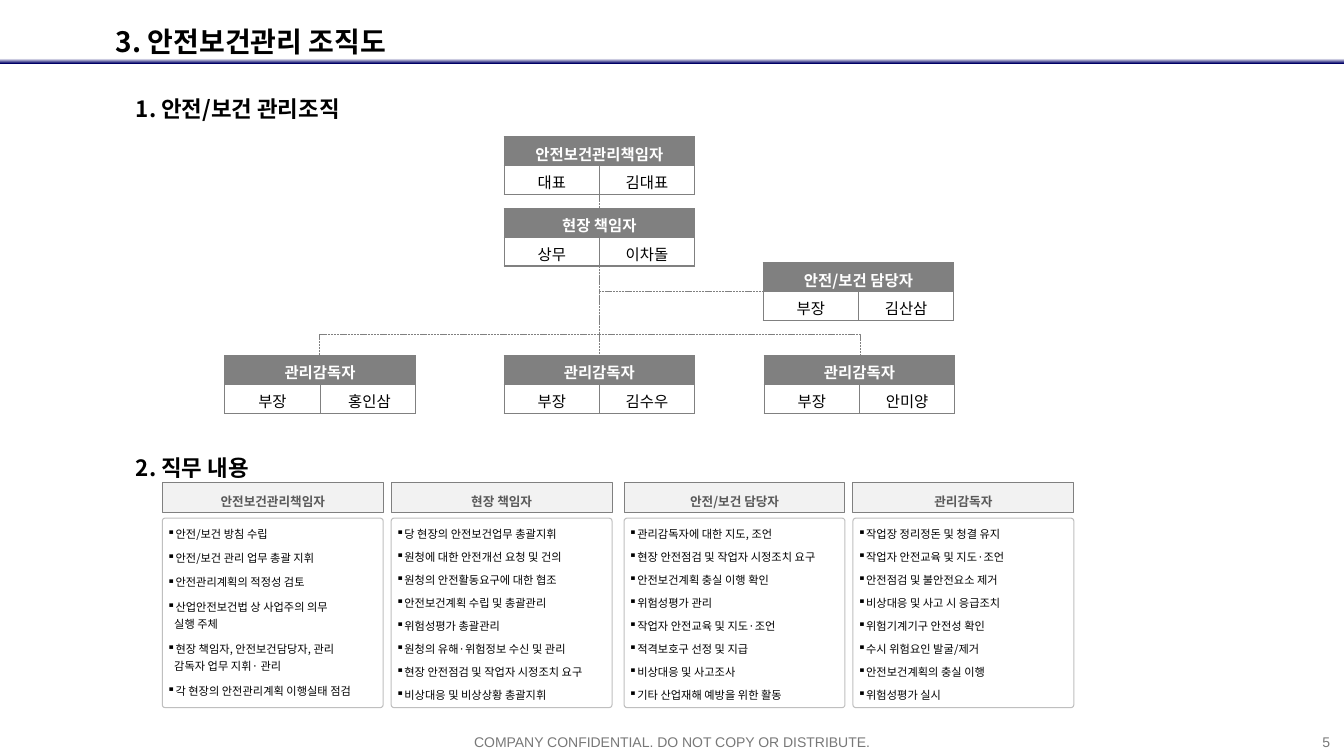
from lxml import etree
from pptx import Presentation
from pptx.dml.color import RGBColor
from pptx.enum.dml import MSO_LINE
from pptx.enum.shapes import MSO_CONNECTOR, MSO_SHAPE
from pptx.enum.text import MSO_ANCHOR, PP_ALIGN
from pptx.oxml.ns import qn
from pptx.util import Inches, Pt

LEFT, CENTER, RIGHT = PP_ALIGN.LEFT, PP_ALIGN.CENTER, PP_ALIGN.RIGHT
TOP, MIDDLE = MSO_ANCHOR.TOP, MSO_ANCHOR.MIDDLE
STRAIGHT, ELBOW = MSO_CONNECTOR.STRAIGHT, MSO_CONNECTOR.ELBOW
RECTANGLE, ROUNDED = MSO_SHAPE.RECTANGLE, MSO_SHAPE.ROUNDED_RECTANGLE
HOME_PLATE = MSO_SHAPE.PENTAGON

BLACK = RGBColor(0x00, 0x00, 0x00)
WHITE = RGBColor(0xFF, 0xFF, 0xFF)
NAVY = RGBColor(0x00, 0x00, 0x66)
GRAY = RGBColor(0x80, 0x80, 0x80)
FOOTER_GRAY = RGBColor(0x78, 0x78, 0x78)
LABEL_GRAY = RGBColor(0x59, 0x59, 0x59)
PALE_GRAY = RGBColor(0xF2, 0xF2, 0xF2)
FRAME_GRAY = RGBColor(0xBF, 0xBF, 0xBF)

KOREAN, LATIN = "Noto Sans CJK KR", "Arial"
CARD_WIDTH, CARD_HEIGHT = 1.89, 0.57
PANEL_WIDTH = 2.19
TRUNK_X, TRUNK_TOP, BRANCH_Y, TEAM_Y = 5.94, 2.64, 3.32, 3.53

CARDS = [
    (5.00, 1.36, "안전보건관리책임자", "대표", "김대표"),
    (5.00, 2.07, "현장 책임자", "상무", "이차돌"),
    (7.57, 2.61, "안전/보건 담당자", "부장", "김산삼"),
    (2.23, TEAM_Y, "관리감독자", "부장", " 홍인삼"),
    (5.00, TEAM_Y, "관리감독자", "부장", "김수우"),
    (7.58, TEAM_Y, "관리감독자", "부장", "안미양"),
]

# left edge, space after each duty in points, role, duties
PANELS = [
    (1.61, 5, "안전보건관리책임자", [
        "안전/보건 방침 수립",
        "안전/보건 관리 업무 총괄 지휘",
        "안전관리계획의 적정성 검토",
        "산업안전보건법 상 사업주의 의무\v실행 주체",
        "현장 책임자, 안전보건담당자, 관리\v감독자 업무 지휘· 관리",
        "각 현장의 안전관리계획 이행실태 점검"]),
    (3.88, 4, "현장 책임자", [
        "당 현장의 안전보건업무 총괄지휘",
        "원청에 대한 안전개선 요청 및 건의",
        "원청의 안전활동요구에 대한 협조",
        "안전보건계획 수립 및 총괄관리",
        "위험성평가 총괄관리",
        "원청의 유해·위험정보 수신 및 관리",
        "현장 안전점검 및 작업자 시정조치 요구",
        "비상대응 및 비상상황 총괄지휘"]),
    (6.19, 4, "안전/보건 담당자", [
        "관리감독자에 대한 지도, 조언",
        "현장 안전점검 및 작업자 시정조치 요구",
        "안전보건계획 충실 이행 확인",
        "위험성평가 관리",
        "작업자 안전교육 및 지도·조언",
        "적격보호구 선정 및 지급",
        "비상대응 및 사고조사",
        "기타 산업재해 예방을 위한 활동"]),
    (8.46, 4, "관리감독자", [
        "작업장 정리정돈 및 청결 유지",
        "작업자 안전교육 및 지도·조언",
        "안전점검 및 불안전요소 제거",
        "비상대응 및 사고 시 응급조치",
        "위험기계기구 안전성 확인",
        "수시 위험요인 발굴/제거",
        "안전보건계획의 충실 이행",
        "위험성평가 실시"]),
]


def write(para, text, size, color, bold=False, align=LEFT, face=KOREAN, spacing=1.0):
    para.text = text
    para.alignment = align
    para.line_spacing = spacing
    font = para.font
    font.name, font.size, font.bold = face, Pt(size), bold
    font.color.rgb = color
    east_asian = etree.SubElement(para._p.pPr.find(qn("a:defRPr")), qn("a:ea"))
    east_asian.set("typeface", face)


def set_margins(holder, side, top, bottom):
    holder.margin_left = holder.margin_right = Inches(side)
    holder.margin_top, holder.margin_bottom = Inches(top), Inches(bottom)


def add_text(page, x, y, width, height, text, size, color, wrap=True, anchor=TOP, **style):
    box = page.shapes.add_textbox(Inches(x), Inches(y), Inches(width), Inches(height))
    frame = box.text_frame
    frame.word_wrap = wrap
    frame.vertical_anchor = anchor
    write(frame.paragraphs[0], text, size, color, **style)


def add_box(page, kind, x, y, width, height):
    box = page.shapes.add_shape(kind, Inches(x), Inches(y), Inches(width), Inches(height))
    box.shadow.inherit = False
    return box


def add_title_rule(page):
    rule = add_box(page, RECTANGLE, 0, 0.58, 13.33, 0.05)
    rule.line.fill.background()
    rule.fill.gradient()
    rule.fill.gradient_angle = 270
    for stop, color, position in zip(rule.fill.gradient_stops, (WHITE, NAVY), (0, 1)):
        stop.color.rgb = color
        stop.position = position


def add_dashed(page, kind, x1, y1, x2, y2):
    line = page.shapes.add_connector(kind, Inches(x1), Inches(y1), Inches(x2), Inches(y2))
    line.line.color.rgb = GRAY
    line.line.width = Pt(0.5)
    line.line.dash_style = MSO_LINE.SQUARE_DOT
    etree.SubElement(line._element.spPr, qn("a:effectLst"))
    return line


def add_branch(page, x):
    """Elbow that leaves the trunk downwards, runs along BRANCH_Y and drops to x."""
    drop, span = TEAM_Y - TRUNK_TOP, abs(x - TRUNK_X)
    left = (x + TRUNK_X - drop) / 2
    top = (TRUNK_TOP + TEAM_Y - span) / 2
    elbow = add_dashed(page, ELBOW, left, top, left + drop, top + span)
    frame = elbow._element.spPr.find(qn("a:xfrm"))
    frame.set("rot", "5400000" if x < TRUNK_X else "16200000")
    if x > TRUNK_X:
        frame.set("flipH", "1")
    guides = elbow._element.spPr.find(qn("a:prstGeom")).get_or_add_avLst()
    guide = etree.SubElement(guides, qn("a:gd"))
    guide.set("name", "adj1")
    guide.set("fmla", f"val {round((BRANCH_Y - TRUNK_TOP) / drop * 100000)}")


def style_cell(cell, fill):
    set_margins(cell, 0.09, 0.05, 0.01)
    properties = cell._tc.get_or_add_tcPr()
    for side in ("lnL", "lnR", "lnT", "lnB"):
        border = etree.SubElement(properties, qn(f"a:{side}"), w=str(Pt(1)))
        paint = etree.SubElement(border, qn("a:solidFill"))
        etree.SubElement(paint, qn("a:srgbClr"), val=str(GRAY))
    cell.fill.solid()
    cell.fill.fore_color.rgb = fill


def add_card(page, x, y, role, rank, name):
    holder = page.shapes.add_table(2, 2, Inches(x), Inches(y),
                                   Inches(CARD_WIDTH), Inches(CARD_HEIGHT))
    table = holder.table
    table.first_row = table.horz_banding = False
    for cell in table.iter_cells():
        style_cell(cell, WHITE)
    head = table.cell(0, 0)
    head.merge(table.cell(0, 1))
    head.fill.fore_color.rgb = GRAY
    write(head.text_frame.paragraphs[0], role, 11, WHITE, bold=True, align=CENTER)
    for column, text in enumerate((rank, name)):
        para = table.cell(1, column).text_frame.paragraphs[0]
        write(para, text, 11, BLACK, align=CENTER)


def add_bullet(para):
    properties = para._p.get_or_add_pPr()
    properties.set("marL", str(Inches(0.07)))
    properties.set("indent", str(-Inches(0.07)))
    bullet = etree.Element(qn("a:buChar"), char="▪")
    properties.find(qn("a:defRPr")).addprevious(bullet)


def add_panel(page, x, gap, role, duties):
    label = add_box(page, HOME_PLATE, x, 4.79, PANEL_WIDTH, 0.29)
    label.adjustments[0] = 0
    label.fill.solid()
    label.fill.fore_color.rgb = PALE_GRAY
    label.line.color.rgb = GRAY
    label.line.width = Pt(0.75)
    set_margins(label.text_frame, 0, 0, 0)
    label.text_frame.vertical_anchor = MIDDLE
    write(label.text_frame.paragraphs[0], role, 9, LABEL_GRAY, bold=True,
          align=CENTER, spacing=1.5)

    body = add_box(page, ROUNDED, x, 5.14, PANEL_WIDTH, 1.88)
    body.adjustments[0] = 0.015
    body.fill.background()
    body.line.color.rgb = FRAME_GRAY
    body.line.width = Pt(0.75)
    frame = body.text_frame
    set_margins(frame, 0.04, 0.04, 0.04)
    frame.vertical_anchor = TOP
    for index, duty in enumerate(duties):
        para = frame.add_paragraph() if index else frame.paragraphs[0]
        write(para, duty, 8, BLACK, spacing=1.3)
        para.space_after = Pt(gap)
        add_bullet(para)


def main():
    deck = Presentation()
    deck.slide_width, deck.slide_height = Inches(13.33), Inches(7.5)
    page = deck.slides.add_slide(deck.slide_layouts[6])

    add_title_rule(page)
    add_text(page, 1.05, 0.03, 3.16, 0.6, "3. 안전보건관리 조직도", 20, BLACK,
             wrap=False, anchor=MIDDLE, bold=True, spacing=1.5)
    for y, heading in ((0.76, "1. 안전/보건 관리조직"), (4.32, "2. 직무 내용")):
        add_text(page, 1.25, y, 3.75, 0.5, heading, 16, BLACK, bold=True, spacing=1.5)

    add_dashed(page, STRAIGHT, TRUNK_X, 2.89, 9.46, 2.89)
    add_dashed(page, STRAIGHT, TRUNK_X, 1.93, TRUNK_X, TEAM_Y)
    for x in (3.17, 8.53):
        add_branch(page, x)
    for card in CARDS:
        add_card(page, *card)
    for panel in PANELS:
        add_panel(page, *panel)

    add_text(page, 4.16, 7.23, 5.01, 0.27, "COMPANY CONFIDENTIAL. DO NOT COPY OR DISTRIBUTE.",
             10, FOOTER_GRAY, align=CENTER, face=LATIN)
    add_text(page, 12.92, 7.23, 0.37, 0.27, "5", 10, FOOTER_GRAY, align=RIGHT, face=LATIN)
    deck.save("out.pptx")


if __name__ == "__main__":
    main()
